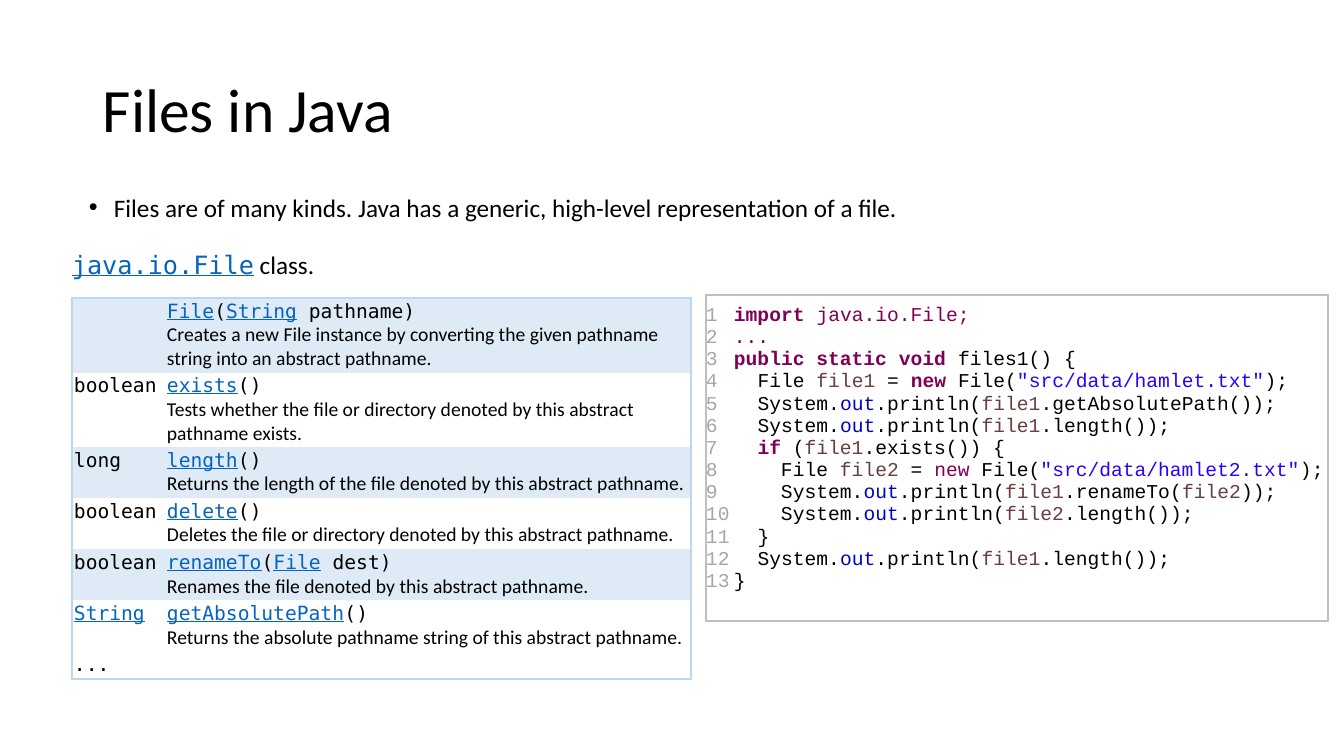
from dataclasses import dataclass

import lxml.etree
import pptx
import pptx.dml.color
import pptx.enum.text
import pptx.oxml.ns
import pptx.util

RGBColor = pptx.dml.color.RGBColor
BLACK = RGBColor(0x00, 0x00, 0x00)
LINK = RGBColor(0x05, 0x63, 0xC1)
BAND = RGBColor(0xDE, 0xEB, 0xF7)
API_EDGE = RGBColor(0xBD, 0xD7, 0xEE)
CODE_EDGE = RGBColor(0xBF, 0xBF, 0xBF)
LINE_NUMBER = RGBColor(0xA6, 0xA6, 0xA6)
KEYWORD = RGBColor(0x7F, 0x00, 0x55)
VARIABLE = RGBColor(0x6A, 0x3E, 0x3E)
FIELD = RGBColor(0x00, 0x00, 0xC0)
STRING = RGBColor(0x2A, 0x00, 0xFF)

SANS, MONO, CODE = "Calibri", "DejaVu Sans Mono", "Courier New"
NO_TABLE_STYLE = "{2D5ABB26-0587-4C30-8999-92F81FD0307C}"
EMU_PER_PX = 914400 / 100.8
EMU_PER_PT = 12700
CODE_STEP = 16.8  # points: two characters of 14 pt code


@dataclass(frozen=True)
class Run:
    text: str
    font: str = SANS
    color: RGBColor = BLACK
    bold: bool = False
    underline: bool = False


@dataclass(frozen=True)
class Line:
    runs: tuple[Run, ...]
    level: int = 0


@dataclass(frozen=True)
class Method:
    returns: tuple[Run, ...]
    signature: tuple[Run, ...]
    summary: str
    height: int


def px(n: int) -> int:
    return round(n * EMU_PER_PX)


def mono(text: str) -> Run:
    return Run(text, MONO)


def link(text: str) -> Run:
    return Run(text, MONO, LINK, underline=True)


def code(text: str, color: RGBColor = BLACK, bold: bool = False) -> Run:
    return Run(text, CODE, color, bold)


def var(text: str) -> Run:
    return code(text, VARIABLE)


def println(level: int, *argument: Run) -> Line:
    return Line((code("System."), code("out", FIELD), code(".println("), *argument), level)


def new_file(level: int, name: str, file: str, bold: bool) -> Line:
    return Line((code("File "), var(name), code(" = "), code("new", KEYWORD, bold),
                 code(" File("), code(f'"{file}"', STRING), code(");")), level)


def sub(parent, tag: str, **attrs: str):
    return lxml.etree.SubElement(parent, pptx.oxml.ns.qn(tag), attrs)


def add_run(p, text: str, *, size: int, font: str = SANS, color: RGBColor = BLACK,
            bold: bool = False, underline: bool = False) -> None:
    r = p.add_run()
    r.text = text
    r.font.size = pptx.util.Pt(size)
    r.font.name = font
    r.font.color.rgb = color
    r.font.bold = bold
    r.font.underline = underline


def write_lines(tf, lines: list[Line], size: int) -> None:
    tf.word_wrap = True
    for i, line in enumerate(lines):
        p = tf.add_paragraph() if i else tf.paragraphs[0]
        if line.level:
            p._p.get_or_add_pPr().set("marL", str(round(line.level * CODE_STEP * EMU_PER_PT)))
        for run in line.runs:
            add_run(p, run.text, size=size, font=run.font, color=run.color,
                    bold=run.bold, underline=run.underline)


def add_text(slide, box: tuple[int, int, int, int], runs: tuple[Run, ...], size: int):
    tf = slide.shapes.add_textbox(*map(px, box)).text_frame
    write_lines(tf, [Line(runs)], size)
    return tf


def add_grid(slide, left: int, top: int, widths: list[int], heights: list[int]):
    frame = slide.shapes.add_table(len(heights), len(widths), px(left), px(top),
                                   px(sum(widths)), px(sum(heights)))
    table = frame.table
    table.first_row = table.horz_banding = False
    frame.element.xpath(".//a:tableStyleId")[0].text = NO_TABLE_STYLE
    for column, width in zip(table.columns, widths):
        column.width = px(width)
    for row, height in zip(table.rows, heights):
        row.height = px(height)
    return table


def fill_cell(cell, lines: list[Line], margin_x: int, margin_y: int,
              fill: RGBColor | None = None) -> None:
    cell.margin_left = cell.margin_right = px(margin_x)
    cell.margin_top = cell.margin_bottom = px(margin_y)
    write_lines(cell.text_frame, lines, 14)
    if not lines:
        sub(cell.text_frame.paragraphs[0]._p, "a:endParaRPr", sz="1400")
    if fill is None:
        cell.fill.background()
    else:
        cell.fill.solid()
        cell.fill.fore_color.rgb = fill


def outline(table, color: RGBColor) -> None:
    last_row, last_col = len(table.rows) - 1, len(table.columns) - 1
    for i, row in enumerate(table.rows):
        for j, cell in enumerate(row.cells):
            sides = {"a:lnL": j == 0, "a:lnR": j == last_col,
                     "a:lnT": i == 0, "a:lnB": i == last_row}
            tc_pr = cell._tc.get_or_add_tcPr()
            for n, tag in enumerate(tag for tag, outer in sides.items() if outer):
                ln = sub(tc_pr, tag, w=str(EMU_PER_PT))
                sub(sub(ln, "a:solidFill"), "a:srgbClr", val=str(color))
                tc_pr.insert(n, ln)


METHODS = [
    Method((), (link("File"), mono("("), link("String"), mono(" pathname)")),
           "Creates a new File instance by converting the given pathname string "
           "into an abstract pathname.", 74),
    Method((mono("boolean"),), (link("exists"), mono("()")),
           "Tests whether the file or directory denoted by this abstract pathname exists.", 74),
    Method((mono("long"),), (link("length"), mono("()")),
           "Returns the length of the file denoted by this abstract pathname.", 50),
    Method((mono("boolean"),), (link("delete"), mono("()")),
           "Deletes the file or directory denoted by this abstract pathname.", 50),
    Method((mono("boolean"),), (link("renameTo"), mono("("), link("File"), mono(" dest)")),
           "Renames the file denoted by this abstract pathname.", 50),
    Method((link("String"),), (link("getAbsolutePath"), mono("()")),
           "Returns the absolute pathname string of this abstract pathname.", 50),
]

PROGRAM = [
    Line((code("import ", KEYWORD, True), code("java.io.File;", KEYWORD))),
    Line((code("...", KEYWORD),)),
    Line((code("public static void ", KEYWORD, True), code("files1() {"))),
    new_file(1, "file1", "src/data/hamlet.txt", True),
    println(1, var("file1"), code(".getAbsolutePath());")),
    println(1, var("file1"), code(".length());")),
    Line((code("if", KEYWORD, True), code(" ("), var("file1"), code(".exists()) {")), 1),
    new_file(2, "file2", "src/data/hamlet2.txt", False),
    println(2, var("file1"), code(".renameTo("), var("file2"), code("));")),
    println(2, var("file2"), code(".length());")),
    Line((code("}"),), 1),
    println(1, var("file1"), code(".length());")),
    Line((code("}"),)),
]


def main() -> None:
    prs = pptx.Presentation()
    prs.slide_width, prs.slide_height = px(1344), px(756)
    slide = prs.slides.add_slide(prs.slide_layouts[6])

    # Title and introduction
    tf = add_text(slide, (93, 40, 1159, 146), (Run("Files in Java"),), 44)
    tf.vertical_anchor = pptx.enum.text.MSO_ANCHOR.MIDDLE
    tf.paragraphs[0].line_spacing = 0.9
    tf = add_text(slide, (79, 187, 1185, 40), (Run(
        "Files are of many kinds. Java has a generic, high-level representation of a file."),), 18)
    p_pr = tf.paragraphs[0]._p.get_or_add_pPr()
    p_pr.set("marL", str(px(25)))
    p_pr.set("indent", str(-px(25)))
    sub(p_pr, "a:buFont", typeface="Arial")
    sub(p_pr, "a:buChar", char="•")
    add_text(slide, (62, 244, 278, 40), (link("java.io.File"), Run(" class.")), 18)

    # Methods of the class, with alternate rows shaded
    api = add_grid(slide, 72, 298, [93, 526], [m.height for m in METHODS] + [27])
    for i, m in enumerate(METHODS):
        fill = None if i % 2 else BAND
        fill_cell(api.cell(i, 0), [Line(m.returns)] if m.returns else [], 2, 2, fill)
        fill_cell(api.cell(i, 1), [Line(m.signature), Line((Run(m.summary),))], 2, 2, fill)
    fill_cell(api.cell(len(METHODS), 0), [Line((mono("..."),))], 2, 2)
    fill_cell(api.cell(len(METHODS), 1), [], 2, 2)
    outline(api, API_EDGE)

    # Program with line numbers
    listing = add_grid(slide, 706, 295, [28, 594], [326])
    numbers = [Line((code(str(n), LINE_NUMBER),)) for n in range(1, len(PROGRAM) + 1)]
    fill_cell(listing.cell(0, 0), numbers, 0, 10)
    fill_cell(listing.cell(0, 1), PROGRAM, 0, 10)
    outline(listing, CODE_EDGE)

    prs.save("out.pptx")


if __name__ == "__main__":
    main()
